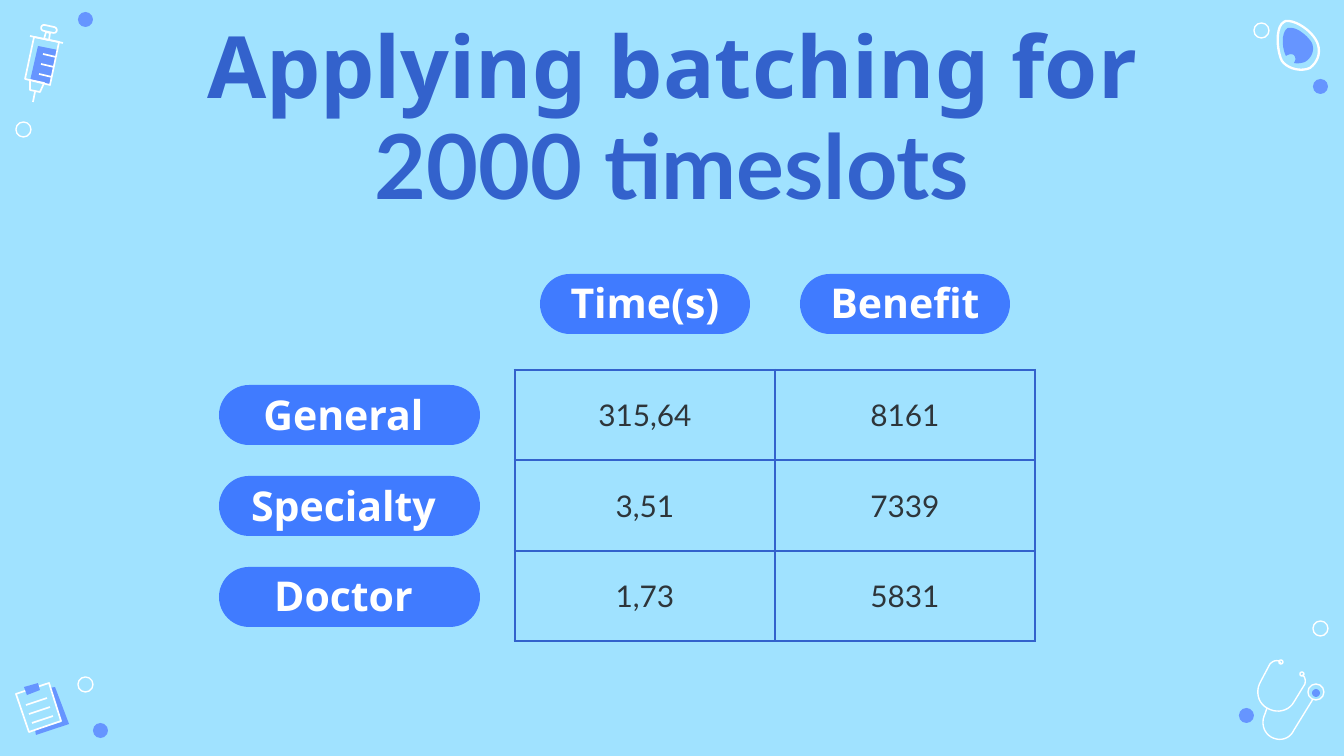
import pptx
import pptx.dml.color
import pptx.enum.shapes
import pptx.enum.text
import pptx.oxml
import pptx.oxml.ns
import pptx.util
from lxml import etree

SCALE = 6804
KINDS = pptx.enum.shapes.MSO_SHAPE
ALIGN = pptx.enum.text.PP_ALIGN
ANCHOR = pptx.enum.text.MSO_ANCHOR
WHITE, SKY, SOFT = "FFFFFF", "A0E2FF", "6695FF"
BRIGHT, DEEP, DARK = "407BFF", "3362CC", "2E353A"


def px(num):
    return pptx.util.Emu(round(num * SCALE))


def color(code):
    return pptx.dml.color.RGBColor.from_string(code)


def paint(item, fill=None, line=None, width=0.75):
    item.shadow.inherit = False
    if fill:
        item.fill.solid()
        item.fill.fore_color.rgb = color(fill)
    else:
        item.fill.background()
    if line:
        item.line.color.rgb = color(line)
        item.line.width = pptx.util.Pt(width)
    else:
        item.line.fill.background()


def add_shape(slide, kind, box, turn=0, **style):
    item = slide.shapes.add_shape(kind, *map(px, box))
    item.rotation = turn
    paint(item, **style)
    return item


def add_pill(slide, box, turn=0, **style):
    item = add_shape(slide, KINDS.ROUNDED_RECTANGLE, box, turn, **style)
    item.adjustments[0] = 0.5


def add_line(slide, x, y, dx, dy):
    kind = pptx.enum.shapes.MSO_CONNECTOR.STRAIGHT
    item = slide.shapes.add_connector(kind, *map(px, (x, y, x + dx, y + dy)))
    item.line.color.rgb = color(WHITE)
    item.line.width = pptx.util.Pt(0.9)
    etree.SubElement(item._element.spPr, pptx.oxml.ns.qn("a:effectLst"))


def bend(start, step, count=10):
    knots = [start, step[:2], step[2:4], step[4:]]
    for i in range(1, count + 1):
        t = i / count
        parts = ((1 - t) ** 3, 3 * t * (1 - t) ** 2, 3 * t * t * (1 - t), t ** 3)
        yield tuple(sum(p * k[axis] for p, k in zip(parts, knots)) for axis in (0, 1))


def add_free(slide, steps, close=True, **style):
    dots = [steps[0]]
    for step in steps[1:]:
        dots.extend([step] if len(step) == 2 else bend(dots[-1], step))
    dots = [(px(x), px(y)) for x, y in dots]
    form = slide.shapes.build_freeform(*dots[0], scale=1.0)
    form.add_line_segments(dots[1:], close=close)
    paint(form.convert_to_shape(), **style)


def add_run(para, text, size, font, code, bold=False):
    run = para.add_run()
    run.text = text
    run.font.size = pptx.util.Pt(size)
    run.font.name = font
    run.font.bold = bold
    run.font.color.rgb = color(code)


def add_title(slide):
    frame = slide.shapes.add_textbox(*map(px, (105, 7, 1134, 214))).text_frame
    frame.word_wrap = True
    frame.margin_left = frame.margin_right = px(13)
    frame.margin_top = frame.margin_bottom = px(13)
    para = frame.paragraphs[0]
    para.alignment = ALIGN.CENTER
    para.line_spacing = 0.95
    add_run(para, "Applying batching for ", 46, "Noto Sans", DEEP, True)
    add_run(para, "2000 timeslots", 48, "Lato", DEEP, True)


def set_edges(cell, sides):
    props = cell._tc.get_or_add_tcPr()
    space = pptx.oxml.ns.nsdecls("a")
    for side in "LRTB":
        ink = "<a:noFill/>"
        if side in sides:
            ink = f'<a:solidFill><a:srgbClr val="{DEEP}"/></a:solidFill>'
        width = pptx.util.Pt(1.5)
        props.append(pptx.oxml.parse_xml(f'<a:ln{side} {space} w="{width}">{ink}</a:ln{side}>'))


def fill_cell(cell, text, head, sides):
    set_edges(cell, sides)
    cell.fill.background()
    cell.vertical_anchor = ANCHOR.MIDDLE
    cell.margin_left = cell.margin_right = px(13)
    cell.margin_top = cell.margin_bottom = px(13)
    if text:
        para = cell.text_frame.paragraphs[0]
        para.alignment = ALIGN.CENTER
        style = (22, "Noto Sans", WHITE, True) if head else (16, "Lato", DARK)
        add_run(para, text, *style)


def add_table(slide):
    rows = [
        ("", "Time(s)", "Benefit"),
        ("General", "315,64", "8161"),
        ("Specialty", "3,51", "7339"),
        ("Doctor", "1,73", "5831"),
    ]
    table = slide.shapes.add_table(4, 3, *map(px, (172, 235, 863, 406))).table
    table.first_row = table.horz_banding = False
    for col, width in zip(table.columns, (343, 260, 260)):
        col.width = px(width)
    for row, height in zip(table.rows, (135, 90, 91, 90)):
        row.height = px(height)
    for r, row in enumerate(rows):
        for c, text in enumerate(row):
            sides = "LRTB" if r and c else "R" if r else "B" if c else ""
            fill_cell(table.cell(r, c), text, not (r and c), sides)


def add_clip(slide):
    add_free(slide, [(50, 688), (62, 722), (35, 730), (36, 735), (69, 724), (55, 687)], fill=SOFT)
    add_free(slide, [(49, 683), (61, 721), (29, 732), (16, 694)], line=WHITE, width=0.9)
    add_free(slide, [(24, 687), (27, 695), (40, 690), (38, 683)], fill=SOFT)
    for i in range(3):
        add_line(slide, 26 + 3 * i, 705 + 9 * i, 21, -7)


def add_needle(slide):
    add_free(slide, [(38, 46), (30, 81), (50, 85), (58, 50)], fill=SOFT)
    for steps in (
        [(59, 42), (50, 85), (25, 79), (34, 37)],
        [(44, 83), (40, 92), (30, 90), (30, 80)],
        [(50, 33), (49, 40), (44, 39), (46, 32)],
    ):
        add_free(slide, steps, line=WHITE, width=0.9)
    add_pill(slide, (41, 26, 16, 6), 12.3, line=WHITE, width=0.9)
    add_line(slide, 35, 92, -2, 10)
    add_line(slide, 30, 36, 33, 7)
    for i in range(3):
        add_line(slide, 43 - 2 * i, 54 + 10 * i, 13, 3)


def add_cell(slide):
    add_free(slide, [
        (1288, 28), (1281, 32, 1282, 48, 1286, 56), (1288, 55),
        (1290, 54, 1292, 54, 1294, 55), (1296, 58, 1296, 60, 1294, 63),
        (1298, 64, 1302, 63, 1305, 62), (1312, 58, 1315, 50, 1312, 43),
        (1308, 36, 1297, 27, 1290, 28),
    ], fill=SOFT)
    add_free(slide, [
        (1286, 21), (1296, 20, 1312, 31, 1317, 42), (1321, 51, 1319, 61, 1310, 68),
        (1301, 72, 1288, 69, 1282, 61), (1277, 51, 1275, 27, 1284, 22),
    ], line=WHITE, width=1.25)


def add_scope(slide):
    add_free(slide, [
        (1281, 663), (1279, 661), (1276, 660, 1273, 661, 1270, 664), (1261, 681),
        (1255, 691, 1258, 703, 1267, 708), (1277, 714, 1289, 711, 1294, 702),
        (1305, 684), (1306, 680, 1305, 676, 1302, 675),
    ], close=False, line=WHITE)
    add_free(slide, [
        (1267, 708), (1265, 714), (1261, 722, 1263, 732, 1271, 737),
        (1280, 742, 1290, 739, 1294, 730), (1313, 699),
    ], close=False, line=WHITE)
    for x, y, size in ((1308, 684, 16), (1279, 660, 4), (1300, 672, 4)):
        add_shape(slide, KINDS.OVAL, (x, y, size, size), line=WHITE)
    add_shape(slide, KINDS.OVAL, (1312, 689, 8, 8), fill=SOFT)


def add_dots(slide):
    for x, y in ((78, 12), (93, 723), (1239, 708), (1313, 79)):
        add_shape(slide, KINDS.OVAL, (x, y, 15, 15), fill=SOFT)
    for x, y in ((16, 122), (78, 677), (1313, 621), (1254, 23)):
        add_shape(slide, KINDS.OVAL, (x, y, 15, 15), line=WHITE)


def main():
    deck = pptx.Presentation()
    deck.slide_width, deck.slide_height = px(1344), px(756)
    slide = deck.slides.add_slide(deck.slide_layouts[6])
    slide.background.fill.solid()
    slide.background.fill.fore_color.rgb = color(SKY)
    for draw in (add_clip, add_scope, add_needle, add_cell, add_dots):
        draw(slide)
    for i in range(3):
        add_pill(slide, (219, 385 + 91 * i, 261, 60), fill=BRIGHT)
    for i in range(2):
        add_pill(slide, (540 + 260 * i, 274, 210, 60), fill=BRIGHT)
    add_title(slide)
    add_table(slide)
    deck.save("out.pptx")


if __name__ == "__main__":
    main()
